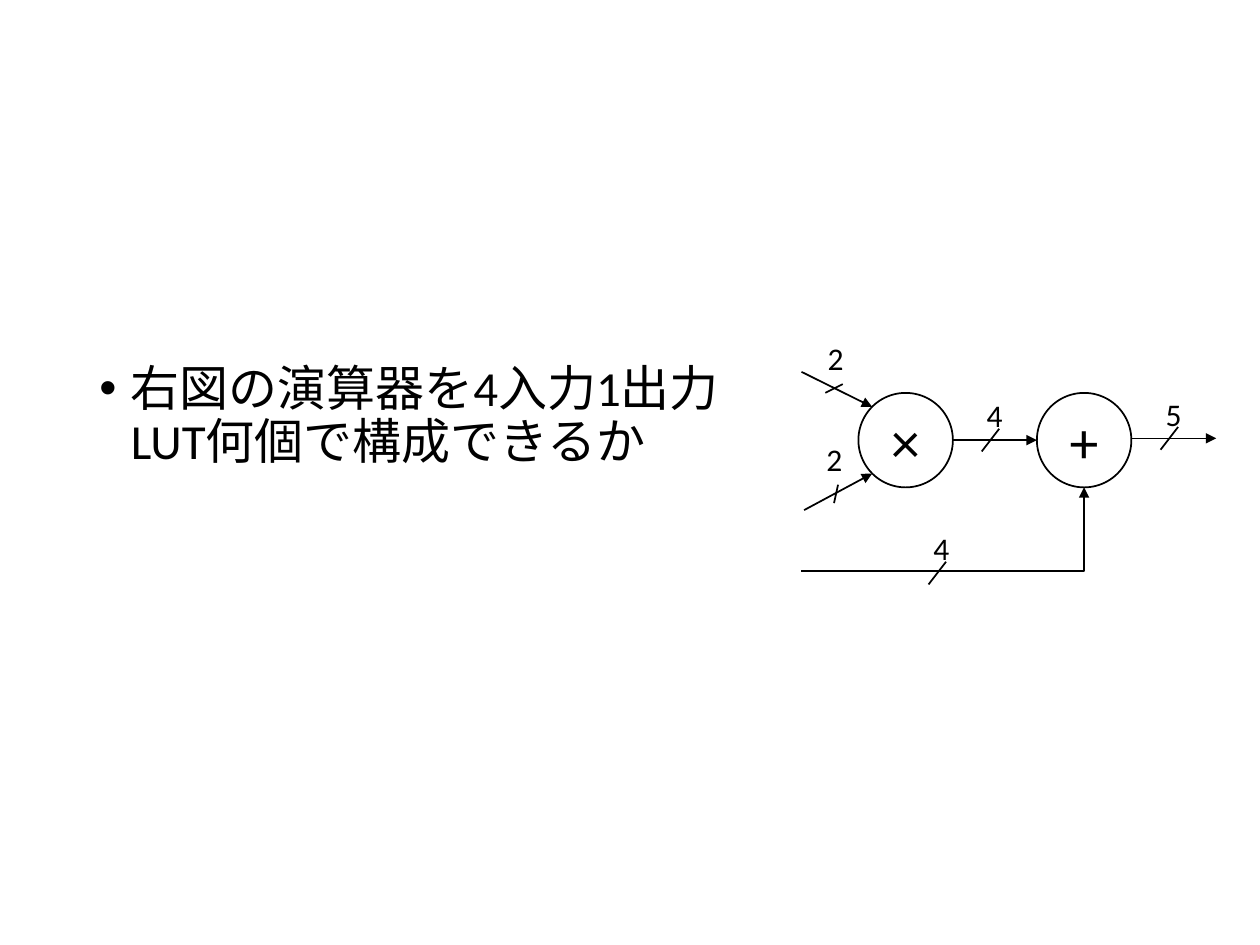
from dataclasses import dataclass
from lxml import etree
from pptx import Presentation
from pptx.dml.color import RGBColor as RGB
from pptx.enum.shapes import MSO_CONNECTOR as CONN, MSO_SHAPE as SHAPE
from pptx.enum.text import MSO_ANCHOR as ANCHOR, PP_ALIGN as ALIGN
from pptx.oxml.ns import qn
from pptx.util import Pt


@dataclass(frozen=True)
class Theme:
    """Colours, font and type sizes of the slide."""
    ink: RGB = RGB(0, 0, 0)
    font: str = "Calibri"
    body: float = 28
    operator: float = 33
    label: float = 18
    line: float = 1


class Diagram:
    """Draws styled elements on the current slide."""

    def __init__(self, s, theme):
        """Keep the slide and the style."""
        self.s, self.theme = s, theme

    def fill_text(self, tf, text, size):
        """Put styled text in a frame and return its paragraph."""
        tf.text = text
        p = tf.paragraphs[0]
        font = p.runs[0].font
        font.name, font.size = self.theme.font, Pt(size)
        font.color.rgb = self.theme.ink
        return p

    def text(self, x, y, w, h, text, size, wrap=True):
        """Add a text box and return its paragraph."""
        tf = self.s.shapes.add_textbox(Pt(x), Pt(y), Pt(w), Pt(h)).text_frame
        tf.word_wrap = wrap
        return self.fill_text(tf, text, size)

    def bullet(self, x, y, w, h, text, indent=18):
        """Add a bulleted paragraph with a hanging indent."""
        p = self.text(x, y, w, h, text, self.theme.body)
        p.line_spacing, p.space_before = 0.9, Pt(10)
        pPr = p._p.get_or_add_pPr()
        pPr.set("marL", str(Pt(indent)))
        pPr.set("indent", str(-Pt(indent)))
        etree.SubElement(pPr, qn("a:buFont")).set("typeface", "Arial")
        etree.SubElement(pPr, qn("a:buChar")).set("char", "•")

    def operator(self, x, y, d, symbol):
        """Add a circle holding an operator."""
        sp = self.s.shapes.add_shape(SHAPE.OVAL, Pt(x), Pt(y), Pt(d), Pt(d))
        sp.shadow.inherit = False
        sp.fill.background()
        sp.line.color.rgb, sp.line.width = self.theme.ink, Pt(self.theme.line)
        tf = sp.text_frame
        tf.margin_left = tf.margin_right = Pt(5)
        tf.margin_top = tf.margin_bottom = Pt(3)
        tf.vertical_anchor = ANCHOR.MIDDLE
        self.fill_text(tf, symbol, self.theme.operator).alignment = ALIGN.CENTER

    def line(self, x1, y1, x2, y2, arrow=False, elbow=False):
        """Add a straight or one-corner line, with an optional arrowhead."""
        kind = CONN.ELBOW if elbow else CONN.STRAIGHT
        c = self.s.shapes.add_connector(kind, Pt(x1), Pt(y1), Pt(x2), Pt(y2))
        c.line.color.rgb, c.line.width = self.theme.ink, Pt(self.theme.line)
        spPr = c._element.spPr
        if elbow:
            spPr.find(qn("a:prstGeom")).set("prst", "bentConnector2")
        if arrow:
            etree.SubElement(spPr.find(qn("a:ln")), qn("a:tailEnd")).set("type", "triangle")
        etree.SubElement(spPr, qn("a:effectLst"))

    def bus_width(self, x, y, bits, dx=10, dy=-13, label=(-4.3, -35)):
        """Add a slash across a bus with its bit count above."""
        self.line(x, y, x + dx, y + dy)
        self.text(x + label[0], y + label[1], 24, 29, bits, self.theme.label, wrap=False)


prs = Presentation()
prs.slide_width, prs.slide_height = Pt(720), Pt(540)
d = Diagram(prs.slides.add_slide(prs.slide_layouts[6]), Theme())

d.bullet(49.7, 204.5, 403, 83, "右図の演算器を4入力1出力LUT何個で構成できるか")

size, top, mul_x, add_x, input_x = 54, 224.5, 490.5, 592.5, 458
d.operator(mul_x, top, size, "×")
d.operator(add_x, top, size, "+")

mid = top + size / 2
d.line(mul_x + size, mid, add_x, mid, arrow=True)
d.line(add_x + size, mid - 1, 695, mid - 1, arrow=True)
d.line(input_x, 212.5, 498.4, 232.5, arrow=True)
d.line(459.5, 291.5, 498.4, 270.6, arrow=True)
d.line(input_x, 326.3, add_x + size / 2, top + size, arrow=True, elbow=True)

d.bus_width(471.6, 224.5, "2", dy=-5, label=(-5.8, -34.5))
d.bus_width(476.6, 287.5, "2", dx=2.3, dy=-10.5, label=(-11.5, -39.8))
for x, y, bits in [(561, 258, "4"), (530.6, 334, "4"), (663.2, 257, "5")]:
    d.bus_width(x, y, bits)

prs.save("out.pptx")
